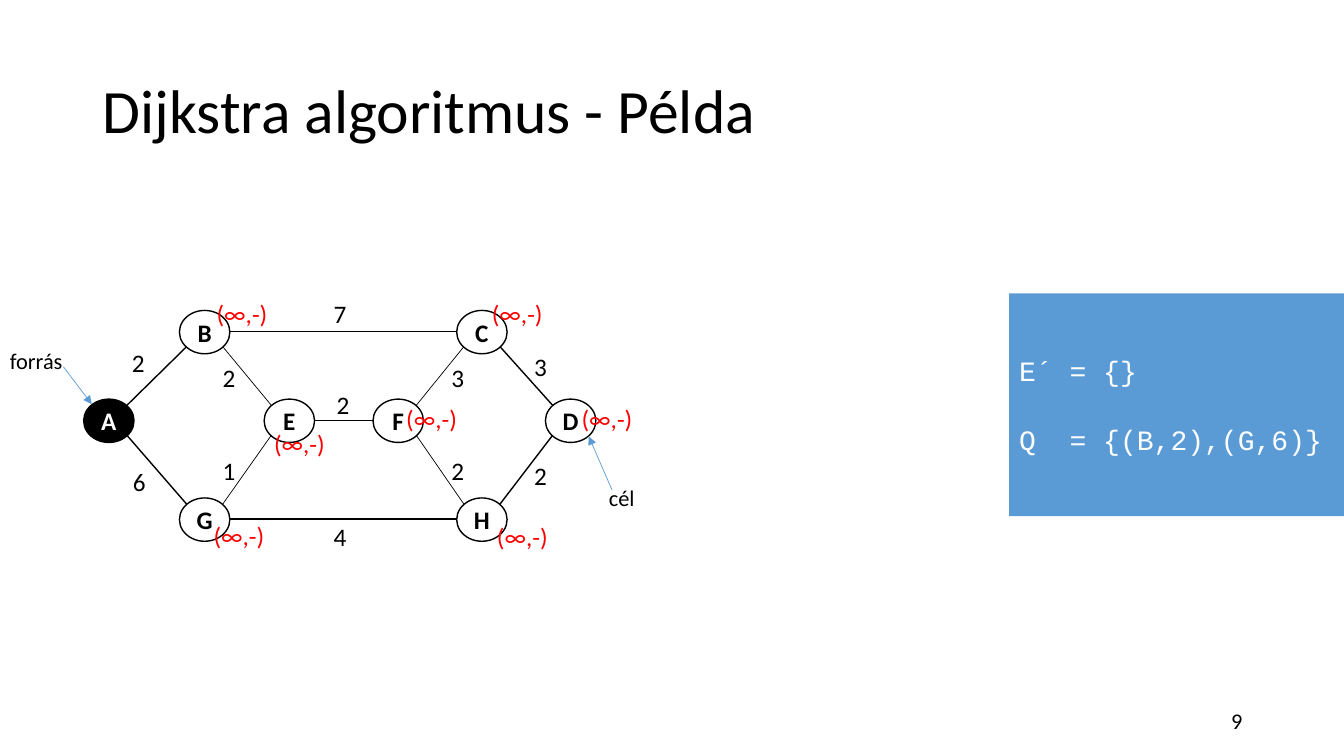
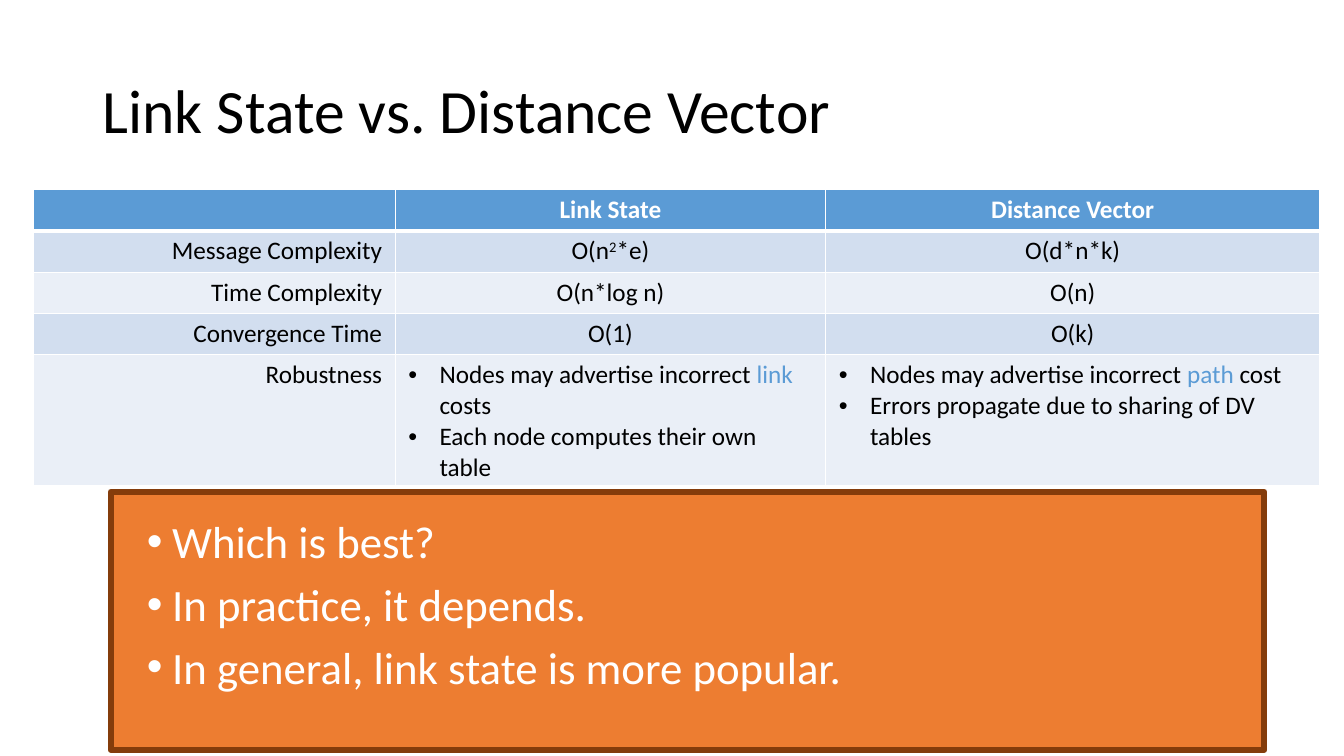
from lxml import etree
from pptx import Presentation
from pptx.dml.color import RGBColor
from pptx.enum.shapes import MSO_CONNECTOR, MSO_SHAPE
from pptx.enum.text import MSO_ANCHOR, PP_ALIGN
from pptx.oxml.ns import qn
from pptx.util import Pt

PX = 9144  # 100 px to the inch
BLACK = RGBColor(0x00, 0x00, 0x00)
WHITE = RGBColor(0xFF, 0xFF, 0xFF)
RED = RGBColor(0xFF, 0x00, 0x00)
BLUE = RGBColor(0x5B, 0x9B, 0xD5)
BAND_DARK = RGBColor(0xD2, 0xDE, 0xEF)
BAND_LIGHT = RGBColor(0xEA, 0xEF, 0xF7)
ORANGE = RGBColor(0xED, 0x7D, 0x31)
BROWN = RGBColor(0x84, 0x3C, 0x0B)
OVAL, RECT = MSO_SHAPE.OVAL, MSO_SHAPE.RECTANGLE
STRAIGHT = MSO_CONNECTOR.STRAIGHT
TOP, MIDDLE = MSO_ANCHOR.TOP, MSO_ANCHOR.MIDDLE
LEFT, CENTER, RIGHT = PP_ALIGN.LEFT, PP_ALIGN.CENTER, PP_ALIGN.RIGHT


def add_box(shapes, box, kind=None, fill=None, line=None, weight=1,
            anchor=TOP, align=LEFT, wrap=True):
    """Add a preset shape, or a text box without kind; return its text frame."""
    box = [v * PX for v in box]
    if kind is None:
        sp = shapes.add_textbox(*box)
    else:
        sp = shapes.add_shape(kind, *box)
        sp.shadow.inherit = False
        sp.fill.solid()
        sp.fill.fore_color.rgb = fill
        if line is None:
            sp.line.fill.background()
        else:
            sp.line.color.rgb = line
            sp.line.width = Pt(weight)
    tf = sp.text_frame
    tf.word_wrap = wrap
    tf.vertical_anchor = anchor
    tf.paragraphs[0].alignment = align
    return tf


def add_run(p, text, size=18, color=BLACK, font="Calibri", bold=False):
    r = p.add_run()
    r.text = text
    r.font.size = Pt(size)
    r.font.name = font
    r.font.bold = bold
    r.font.color.rgb = color
    return r


prs = Presentation()
prs.slide_width, prs.slide_height = 1333 * PX, 750 * PX

# Slides with their titles
slides = []
for title in ("Dijkstra algoritmus - Példa", "Link State vs. Distance Vector"):
    s = prs.slides.add_slide(prs.slide_layouts[6])
    p = add_box(s.shapes, (92, 40, 1150, 145), anchor=MIDDLE).paragraphs[0]
    p.line_spacing = 0.9
    add_run(p, title, 44)
    slides.append(s)
graph, comparison = [s.shapes for s in slides]

# Graph nodes: centre, and place of the distance label
NODE_W, NODE_H = 50, 43
nodes = {
    "A": (108, 417, None),
    "B": (203, 329, (205, 291)),
    "G": (203, 515, (202, 511)),
    "C": (478, 329, (478, 291)),
    "H": (478, 515, (483, 512)),
    "D": (566, 417, (567, 395)),
    "E": (287, 417, (262, 420)),
    "F": (395, 417, (393, 395)),
}
for name, (x, y, _) in nodes.items():
    fill, color = (BLACK, WHITE) if name == "A" else (WHITE, BLACK)
    tf = add_box(graph, (x - NODE_W // 2, y - NODE_H // 2, NODE_W, NODE_H),
                 OVAL, fill, BLACK, anchor=MIDDLE, align=CENTER, wrap=False)
    add_run(tf.paragraphs[0], name, color=color, bold=True)

# Edges: ends, weight, place of the weight label, line width
edges = [
    ("A", "B", "2", 121, 340, 1),
    ("A", "G", "6", 122, 458, 1),
    ("B", "C", "7", 321, 291, 1),
    ("G", "H", "4", 321, 512, 1),
    ("H", "D", "2", 520, 452, 1),
    ("C", "D", "3", 520, 344, 1),
    ("B", "E", "2", 211, 355, 0.5),
    ("G", "E", "1", 211, 447, 0.5),
    ("E", "F", "2", 324, 381, 0.5),
    ("F", "C", "3", 438, 355, 0.5),
    ("F", "H", "2", 438, 447, 0.5),
]
lines = []
labels = []
for start, end, weight, lx, ly, width in edges:
    x1, y1, _ = nodes[start]
    x2, y2, _ = nodes[end]
    # Lines leave an oval at its side or at 45 degrees
    if y1 == y2:
        dx, dy = 25, 0
    else:
        dx, dy = 18, 15 if y2 > y1 else -15
    lines.append((x1 + dx, y1 + dy, x2 - dx, y2 - dy, BLACK, width, False))
    labels.append((lx, ly, 33, 40, weight, 18, BLACK))

# Distance labels, source and target pointers
for _, _, place in nodes.values():
    if place:
        labels.append((*place, 71, 40, "(∞,-)", 18, RED))
labels += [(0, 339, 73, 37, "forrás", 16, BLACK),
           (594, 475, 73, 37, "cél", 16, BLACK)]
lines += [(63, 364, 91, 401, BLUE, 0.5, True),
          (607, 486, 584, 433, BLUE, 0.5, True)]

for x1, y1, x2, y2, color, width, arrow in lines:
    cn = graph.add_connector(STRAIGHT, x1 * PX, y1 * PX, x2 * PX, y2 * PX)
    cn.line.color.rgb = color
    cn.line.width = Pt(width)
    spPr = cn.element.spPr
    if arrow:
        etree.SubElement(spPr.find(qn("a:ln")), qn("a:tailEnd"), type="triangle")
    etree.SubElement(spPr, qn("a:effectLst"))
for x, y, w, h, text, size, color in labels:
    # Only the target label sits left in a wider box
    tf = add_box(graph, (x, y, w, h), wrap=text == "cél")
    add_run(tf.paragraphs[0], text, size, color)

# State of the algorithm
tf = add_box(graph, (1001, 291, 333, 221), RECT, BLUE, anchor=MIDDLE)
add_run(tf.paragraphs[0], "E´ = {}", 20, WHITE, "Courier New")
p = tf.add_paragraph()
p.alignment = LEFT
p.space_before = Pt(25)
add_run(p, "Q  = {(B,2),(G,6)}", 20, WHITE, "Courier New")

# Slide number
tf = add_box(graph, (942, 695, 300, 40), anchor=MIDDLE, align=RIGHT)
add_run(tf.paragraphs[0], "9", 16)

# Comparison table: a cell is a list of paragraphs, a paragraph a list of runs
rows = [
    [[], [["Link State"]], [["Distance Vector"]]],
    [[["Message Complexity"]], [["O(n", "2", "*e)"]], [["O(d*n*k)"]]],
    [[["Time Complexity"]], [["O(n*log n)"]], [["O(n)"]]],
    [[["Convergence Time"]], [["O(1)"]], [["O(k)"]]],
    [[["Robustness"]],
     [["Nodes may advertise incorrect ", "link", " costs"],
      ["Each node computes their own table"]],
     [["Nodes may advertise incorrect ", "path", " cost"],
      ["Errors propagate due to sharing of DV tables"]]],
]
col_widths = [359, 427, 490]
row_heights = [41, 41, 41, 41, 128]
table = comparison.add_table(
    len(rows), len(col_widths), 33 * PX, 188 * PX,
    sum(col_widths) * PX, sum(row_heights) * PX).table
for column, width in zip(table.columns, col_widths):
    column.width = width * PX
for row, height in zip(table.rows, row_heights):
    row.height = height * PX

bullets = []  # paragraph, left margin, hanging indent
for i, row in enumerate(rows):
    for j, paragraphs in enumerate(row):
        cell = table.cell(i, j)
        cell.margin_left = cell.margin_right = 13 * PX
        cell.margin_top = cell.margin_bottom = 5 * PX
        tcPr = cell._tc.get_or_add_tcPr()
        for side in ("lnL", "lnR", "lnT", "lnB"):
            thick = (i, side) in ((0, "lnB"), (1, "lnT"))
            ln = etree.SubElement(tcPr, qn("a:" + side), w=str(Pt(3 if thick else 1)))
            solid = etree.SubElement(ln, qn("a:solidFill"))
            etree.SubElement(solid, qn("a:srgbClr"), val=str(WHITE))
        cell.fill.solid()
        cell.fill.fore_color.rgb = BLUE if i == 0 else BAND_DARK if i % 2 else BAND_LIGHT
        tf = cell.text_frame
        for k, texts in enumerate(paragraphs):
            p = tf.add_paragraph() if k else tf.paragraphs[0]
            if i == len(rows) - 1 and j > 0:
                bullets.append((p, 31, 31))
            else:
                p.alignment = CENTER if i == 0 or j > 0 else RIGHT
            for text in texts:
                color = WHITE if i == 0 else BLUE if text in ("link", "path") else BLACK
                r = add_run(p, text, color=color, bold=i == 0)
                if text == "2":
                    r.font._element.set("baseline", "30000")

# Conclusion panel
panel = comparison.add_group_shape().shapes
add_box(panel, (110, 488, 1144, 256), RECT, ORANGE, BROWN, 4.5)
tf = add_box(panel, (123, 505, 1124, 228))
for k, text in enumerate(("Which is best?", "In practice, it depends.",
                          "In general, link state is more popular.")):
    p = tf.add_paragraph() if k else tf.paragraphs[0]
    if k:
        p.space_before = Pt(6.4)
    add_run(p, text, 32, WHITE)
    bullets.append((p, 38, 25))

# Bullets of the table and the panel
for p, margin, hang in bullets:
    pPr = p._p.get_or_add_pPr()
    pPr.set("marL", str(margin * PX))
    pPr.set("indent", str(-hang * PX))
    etree.SubElement(pPr, qn("a:buFont"), typeface="Arial")
    etree.SubElement(pPr, qn("a:buChar"), char="•")

prs.save("out.pptx")
